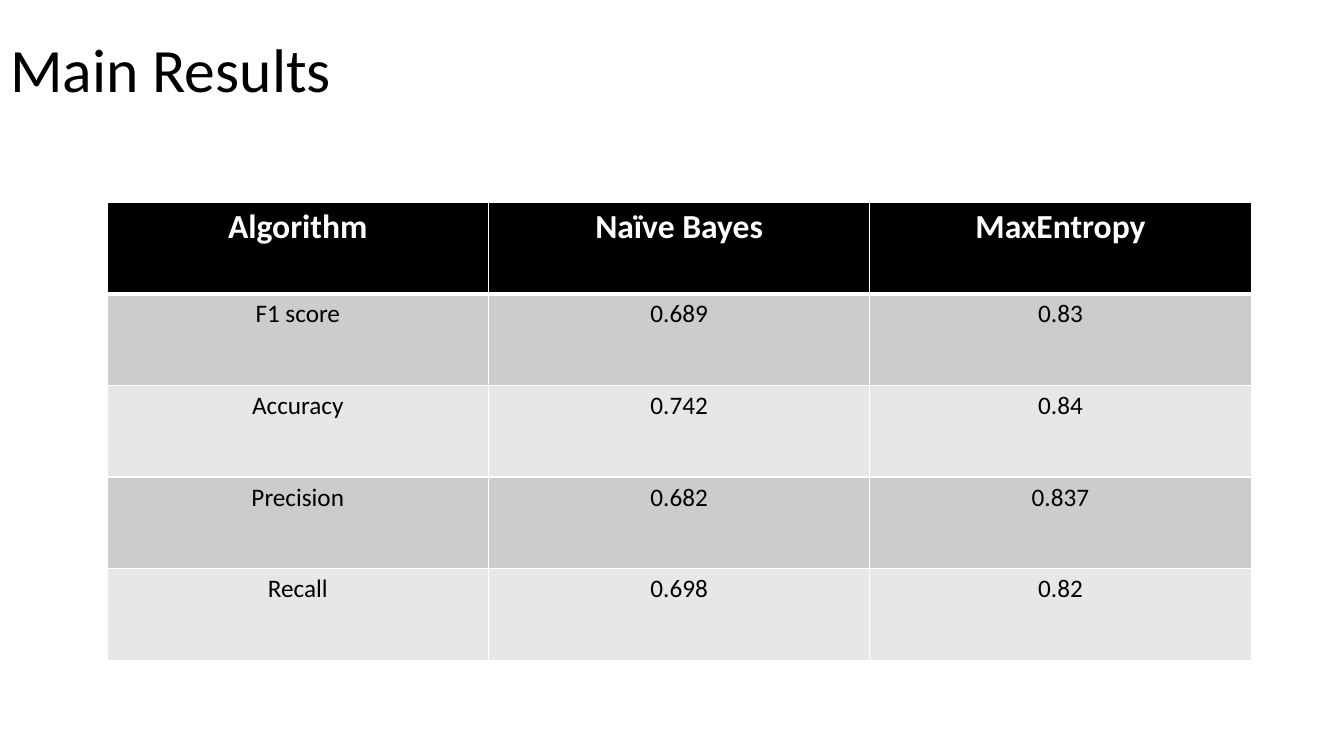
from lxml.etree import SubElement
from pptx import Presentation
from pptx.dml.color import RGBColor
from pptx.enum.text import MSO_ANCHOR, MSO_AUTO_SIZE, PP_ALIGN
from pptx.oxml.ns import qn
from pptx.util import Cm, Pt

COLOURS = {
    "text": "000000",
    "header": "000000",
    "header_text": "FFFFFF",
    "border": "FFFFFF",
    "odd_row": "CCCCCC",
    "even_row": "E7E7E7",
}
TITLE = {"size": Pt(44), "bold": False}
HEADER = {"size": Pt(24), "bold": True}
BODY = {"size": Pt(18), "bold": False}

RESULTS = [
    ("Algorithm", "Naïve Bayes", "MaxEntropy"),
    ("F1 score", "0.689", "0.83"),
    ("Accuracy", "0.742", "0.84"),
    ("Precision", "0.682", "0.837"),
    ("Recall", "0.698", "0.82"),
]


class SlideBuilder:
    """Holds the style and the current slide."""

    font_name = "Calibri"

    def __init__(self, presentation):
        title_only = presentation.slide_layouts[5]
        self.slide = presentation.slides.add_slide(title_only)

    def format_paragraph(self, paragraph, text, colour, alignment, font_format):
        paragraph.text = text
        paragraph.alignment = alignment
        font = paragraph.runs[0].font
        for name, value in {"name": self.font_name, **font_format}.items():
            setattr(font, name, value)
        font.color.rgb = RGBColor.from_string(COLOURS[colour])

    def title(self, text, left, top, width, height):
        shape = self.slide.shapes.title
        place = {"left": left, "top": top, "width": width, "height": height}
        for name, value in place.items():
            setattr(shape, name, Cm(value))
        frame = shape.text_frame
        frame_format = {
            "word_wrap": True,
            "auto_size": MSO_AUTO_SIZE.NONE,
            "vertical_anchor": MSO_ANCHOR.MIDDLE,
        }
        for name, value in frame_format.items():
            setattr(frame, name, value)
        paragraph = frame.paragraphs[0]
        self.format_paragraph(paragraph, text, "text", PP_ALIGN.LEFT, TITLE)
        paragraph.line_spacing = 0.9

    def cell_borders(self, cell, widths):
        properties = cell._tc.get_or_add_tcPr()
        for side, width in widths.items():
            line = SubElement(properties, qn(f"a:ln{side}"), w=str(Pt(width)))
            fill = SubElement(line, qn("a:solidFill"))
            SubElement(fill, qn("a:srgbClr"), val=COLOURS["border"])

    def table(self, rows, left, top, column_width, row_height):
        column_count = len(rows[0])
        table = self.slide.shapes.add_table(
            len(rows), column_count, Cm(left), Cm(top),
            Cm(column_width * column_count), Cm(row_height * len(rows)),
        ).table
        for row_index, row in enumerate(rows):
            # Header, then alternating bands
            if row_index == 0:
                fill, colour, font_format = "header", "header_text", HEADER
            else:
                fill = "odd_row" if row_index % 2 else "even_row"
                colour, font_format = "text", BODY
            # The rule under the header is heavier
            borders = {
                "L": 1,
                "R": 1,
                "T": 3 if row_index == 1 else 1,
                "B": 3 if row_index == 0 else 1,
            }
            for column_index, text in enumerate(row):
                cell = table.cell(row_index, column_index)
                self.cell_borders(cell, borders)
                cell.fill.solid()
                cell.fill.fore_color.rgb = RGBColor.from_string(COLOURS[fill])
                paragraph = cell.text_frame.paragraphs[0]
                self.format_paragraph(
                    paragraph, text, colour, PP_ALIGN.CENTER, font_format
                )


def main():
    presentation = Presentation()
    presentation.slide_width = Cm(33.87)
    presentation.slide_height = Cm(19.05)

    builder = SlideBuilder(presentation)
    builder.title("Main Results", left=0, top=0, width=29.21, height=3.68)
    builder.table(RESULTS, left=2.7, top=5.09, column_width=9.61, row_height=2.31)

    presentation.save("out.pptx")


if __name__ == "__main__":
    main()
